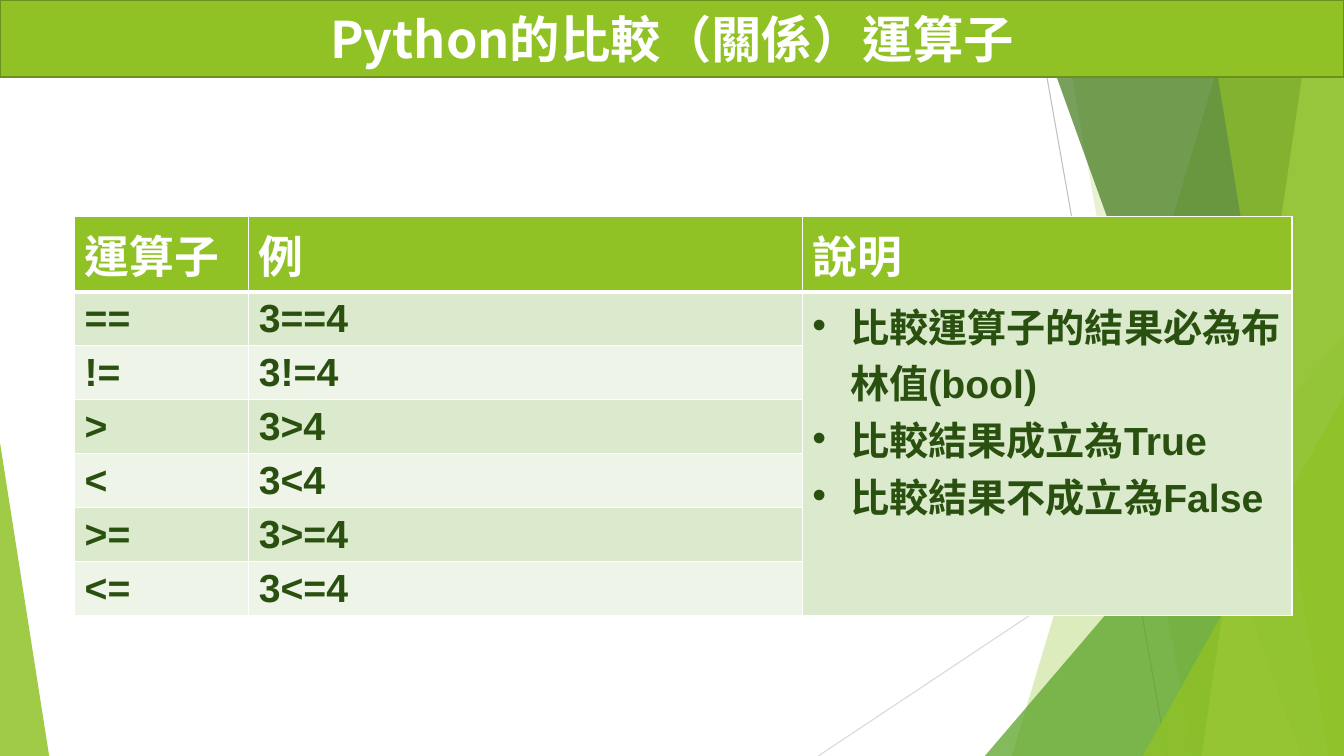
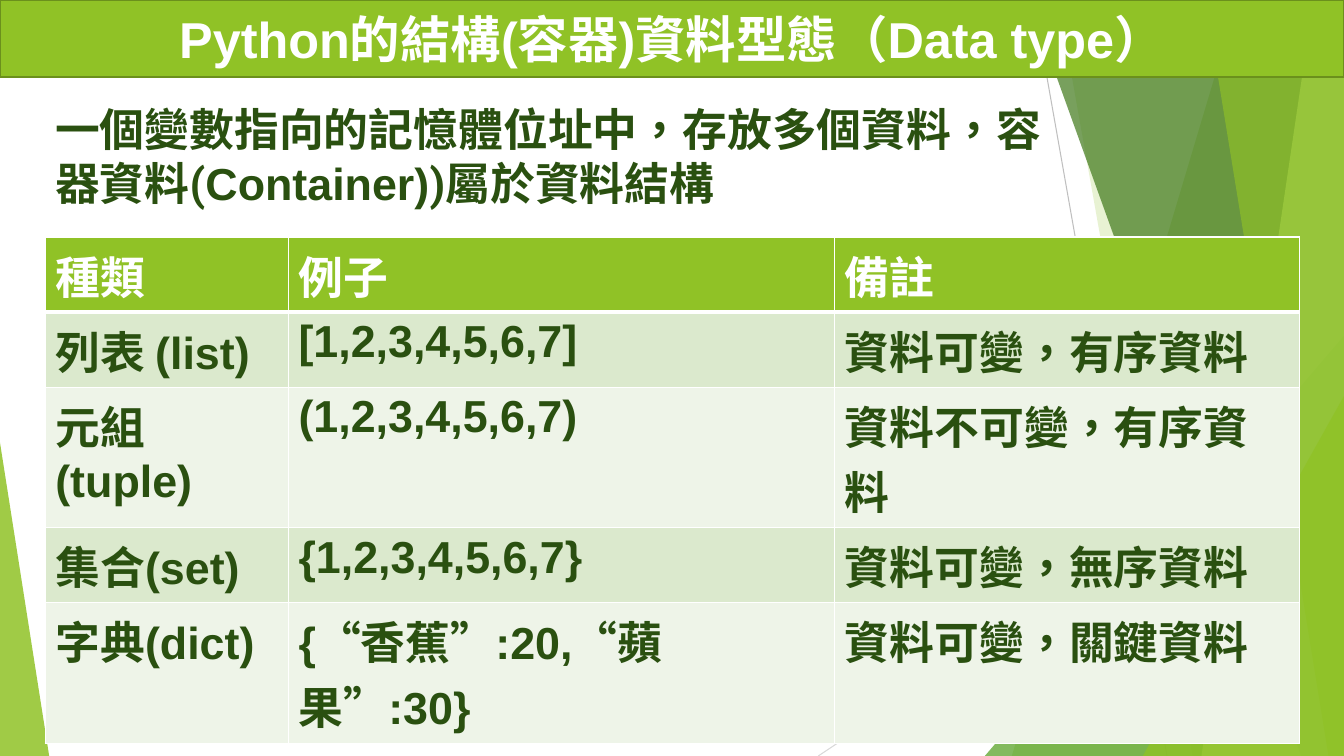
"""Build two slides on Python comparison operators and container data types."""

import dataclasses
import typing

import lxml.etree
import pptx
import pptx.dml.color
import pptx.enum.lang
import pptx.enum.shapes
import pptx.enum.text
import pptx.oxml.ns
import pptx.util

Cm = pptx.util.Cm
Pt = pptx.util.Pt
qn = pptx.oxml.ns.qn
Shapes = pptx.enum.shapes.MSO_SHAPE

SLIDE_WIDTH = 33.87
SLIDE_HEIGHT = 19.05
BAND_HEIGHT = 1.95

GREEN = "90C226"
GREEN_EDGE = "6B901C"
LEAF = "54A021"
FOREST = "3F7819"
LIME = "C0E474"
INK = "2A5010"
WHITE = "FFFFFF"
ROW_FILLS = ("DBE9CD", "EEF4E8")

LATIN_FONT = "Arial"
CHINESE_FONT = "Noto Sans CJK SC"
ROBOTO = "Roboto"


@dataclasses.dataclass(frozen=True)
class Ray:
    start: tuple[float, float]
    end: tuple[float, float]
    colour: str


@dataclasses.dataclass(frozen=True)
class Facet:
    top_x: float
    bottom_x: float
    colour: str
    opacity: int


@dataclasses.dataclass(frozen=True)
class Corner:
    left: float
    top: float
    width: float
    apex: float
    colour: str
    opacity: int


@dataclasses.dataclass(frozen=True)
class TextStyle:
    size: int
    colour: str
    latin: str = LATIN_FONT
    chinese: str = CHINESE_FONT


@dataclasses.dataclass(frozen=True)
class Grid:
    left: float
    top: float
    columns: tuple[float, ...]
    heights: tuple[float, ...]
    rows: tuple[tuple, ...]
    header_style: TextStyle
    body_style: TextStyle


RAYS = (
    Ray((26.04, 0), (29.41, SLIDE_HEIGHT), "BFBFBF"),
    Ray((SLIDE_WIDTH, 10.24), (20.62, SLIDE_HEIGHT), "D9D9D9"),
)
BACKDROP = (
    Facet(31.19, 25.5, GREEN, 30),
    Facet(26.67, 30.05, GREEN, 20),
    Corner(24.82, 8.46, 9.05, 1, LEAF, 72),
    Facet(25.93, 32.79, FOREST, 70),
    Facet(33.1, 30.28, LIME, 70),
    Facet(30.38, 33.48, GREEN, 65),
    Corner(28.8, 9.98, 5.07, 1, GREEN, 80),
    Corner(0, 11.15, 1.24, 0, GREEN, 85),
)

OPERATORS = ("==", "!=", ">", "<", ">=", "<=")
RESULT_NOTES = (
    "比較運算子的結果必為布林值(bool)",
    "比較結果成立為True",
    "比較結果不成立為False",
)
OPERATOR_GRID = Grid(
    left=1.88,
    top=5.46,
    columns=(4.39, 13.95, 12.34),
    heights=(1.88,) + (1.36,) * len(OPERATORS),
    rows=(
        ("運算子", "例", "說明"),
        *(
            (operator, f"3{operator}4", None if index else RESULT_NOTES)
            for index, operator in enumerate(OPERATORS)
        ),
    ),
    header_style=TextStyle(32, WHITE),
    body_style=TextStyle(28, INK),
)
CONTAINER_GRID = Grid(
    left=1.14,
    top=5.97,
    columns=(6.13, 13.77, 11.7),
    heights=(1.88, 1.88, 3.54, 1.88, 3.54),
    rows=(
        ("種類", "例子", "備註"),
        ("列表 (list)", "[1,2,3,4,5,6,7]", "資料可變，有序資料"),
        ("元組(tuple)", "(1,2,3,4,5,6,7)", "資料不可變，有序資料"),
        ("集合(set)", "{1,2,3,4,5,6,7}", "資料可變，無序資料"),
        ("字典(dict)", "{“香蕉”:20,“蘋果”:30}", "資料可變，關鍵資料"),
    ),
    header_style=TextStyle(32, WHITE, ROBOTO),
    body_style=TextStyle(32, INK),
)


def rgb(colour: str) -> pptx.dml.color.RGBColor:
    return pptx.dml.color.RGBColor.from_string(colour)


def apply_format(target: typing.Any, values: dict[str, typing.Any]) -> None:
    for name, value in values.items():
        setattr(target, name, value)


def add_run(paragraph, text: str, style: TextStyle) -> None:
    run = paragraph.add_run()
    run.text = text
    apply_format(run.font, {
        "name": style.latin,
        "size": Pt(style.size),
        "bold": True,
        "language_id": pptx.enum.lang.MSO_LANGUAGE_ID.TRADITIONAL_CHINESE,
    })
    run.font.color.rgb = rgb(style.colour)
    properties = run.font._element
    lxml.etree.SubElement(properties, qn("a:ea"), typeface=style.chinese)


def add_bullet(paragraph) -> None:
    properties = paragraph._p.get_or_add_pPr()
    indent = Cm(0.95)
    properties.set("marL", str(indent))
    properties.set("indent", str(-indent))
    lxml.etree.SubElement(properties, qn("a:buFont"), typeface=LATIN_FONT)
    lxml.etree.SubElement(properties, qn("a:buChar"), char="•")


def paint(shape, colour: str, opacity: int = 100) -> None:
    shape.shadow.inherit = False
    shape.fill.solid()
    shape.fill.fore_color.rgb = rgb(colour)
    shape.line.fill.background()
    if opacity < 100:
        colour_element = shape._element.spPr.find(qn("a:solidFill"))[0]
        lxml.etree.SubElement(colour_element, qn("a:alpha"), val=str(opacity * 1000))


def draw_ray(slide, ray: Ray) -> None:
    connector = slide.shapes.add_connector(
        pptx.enum.shapes.MSO_CONNECTOR.STRAIGHT,
        *(Cm(value) for value in ray.start + ray.end),
    )
    connector.line.color.rgb = rgb(ray.colour)
    connector.line.width = Pt(0.75)
    lxml.etree.SubElement(connector._element.spPr, qn("a:effectLst"))


def draw_facet(slide, facet: Facet) -> None:
    builder = slide.shapes.build_freeform(Cm(facet.top_x), 0)
    builder.add_line_segments([
        (Cm(SLIDE_WIDTH), 0),
        (Cm(SLIDE_WIDTH), Cm(SLIDE_HEIGHT)),
        (Cm(facet.bottom_x), Cm(SLIDE_HEIGHT)),
    ])
    paint(builder.convert_to_shape(), facet.colour, facet.opacity)


def draw_corner(slide, corner: Corner) -> None:
    shape = slide.shapes.add_shape(
        Shapes.ISOSCELES_TRIANGLE,
        Cm(corner.left), Cm(corner.top),
        Cm(corner.width), Cm(SLIDE_HEIGHT - corner.top),
    )
    shape.adjustments[0] = corner.apex
    paint(shape, corner.colour, corner.opacity)


def draw_backdrop(slide) -> None:
    for ray in RAYS:
        draw_ray(slide, ray)
    for piece in BACKDROP:
        if isinstance(piece, Facet):
            draw_facet(slide, piece)
        else:
            draw_corner(slide, piece)


def draw_title(slide, text: str, latin: str) -> None:
    band = slide.shapes.add_shape(
        Shapes.RECTANGLE, 0, 0, Cm(SLIDE_WIDTH), Cm(BAND_HEIGHT)
    )
    paint(band, GREEN)
    band.line.color.rgb = rgb(GREEN_EDGE)
    band.line.width = Pt(1.5)
    band.text_frame.vertical_anchor = pptx.enum.text.MSO_ANCHOR.MIDDLE
    paragraph = band.text_frame.paragraphs[0]
    paragraph.alignment = pptx.enum.text.PP_ALIGN.CENTER
    add_run(paragraph, text, TextStyle(36, WHITE, latin))


def add_borders(cell, widths: dict[str, int]) -> None:
    properties = cell._tc.get_or_add_tcPr()
    for side, width in widths.items():
        line = lxml.etree.SubElement(properties, qn(f"a:ln{side}"), w=str(Pt(width)))
        fill = lxml.etree.SubElement(line, qn("a:solidFill"))
        lxml.etree.SubElement(fill, qn("a:srgbClr"), val=WHITE)


def fill_cell(cell, content: str | tuple[str, ...], style: TextStyle) -> None:
    lines = (content,) if isinstance(content, str) else content
    frame = cell.text_frame
    for index, line in enumerate(lines):
        paragraph = frame.add_paragraph() if index else frame.paragraphs[0]
        if len(lines) > 1:
            add_bullet(paragraph)
        add_run(paragraph, line, style)


def draw_grid(slide, grid: Grid):
    table = slide.shapes.add_table(
        len(grid.rows), len(grid.columns), Cm(grid.left), Cm(grid.top),
        Cm(sum(grid.columns)), Cm(sum(grid.heights)),
    ).table
    apply_format(table, {"first_row": False, "horz_banding": False})
    for column, width in zip(table.columns, grid.columns):
        column.width = Cm(width)
    for row_index, contents in enumerate(grid.rows):
        table.rows[row_index].height = Cm(grid.heights[row_index])
        is_header = row_index == 0
        colour = GREEN if is_header else ROW_FILLS[(row_index - 1) % 2]
        style = grid.header_style if is_header else grid.body_style
        for column_index, content in enumerate(contents):
            cell = table.cell(row_index, column_index)
            add_borders(cell, {
                "L": 1, "R": 1,
                "T": 3 if row_index == 1 else 1,
                "B": 3 if is_header else 1,
            })
            cell.fill.solid()
            cell.fill.fore_color.rgb = rgb(colour)
            if content is not None:
                fill_cell(cell, content, style)
    return table


def draw_introduction(slide) -> None:
    box = slide.shapes.add_textbox(Cm(1.14), Cm(2.44), Cm(25.6), Cm(3))
    box.text_frame.word_wrap = True
    paragraph = box.text_frame.paragraphs[0]
    for text, latin in (
        ("一個變數指向的記憶體位址中，存放多個資料，容器資料(", ROBOTO),
        ("Container)", LATIN_FONT),
        (")屬於資料結構", ROBOTO),
    ):
        add_run(paragraph, text, TextStyle(32, INK, latin, ROBOTO))


def add_slide(presentation, title: str, title_font: str):
    slide = presentation.slides.add_slide(presentation.slide_layouts[6])
    draw_backdrop(slide)
    draw_title(slide, title, title_font)
    return slide


def main() -> None:
    presentation = pptx.Presentation()
    apply_format(presentation, {
        "slide_width": Cm(SLIDE_WIDTH), "slide_height": Cm(SLIDE_HEIGHT),
    })
    operators = add_slide(presentation, "Python的比較（關係）運算子", CHINESE_FONT)
    table = draw_grid(operators, OPERATOR_GRID)
    table.cell(1, 2).merge(table.cell(len(OPERATORS), 2))
    containers = add_slide(
        presentation, "Python的結構(容器)資料型態（Data type）", LATIN_FONT
    )
    draw_grid(containers, CONTAINER_GRID)
    draw_introduction(containers)
    presentation.save("out.pptx")


if __name__ == "__main__":
    main()
